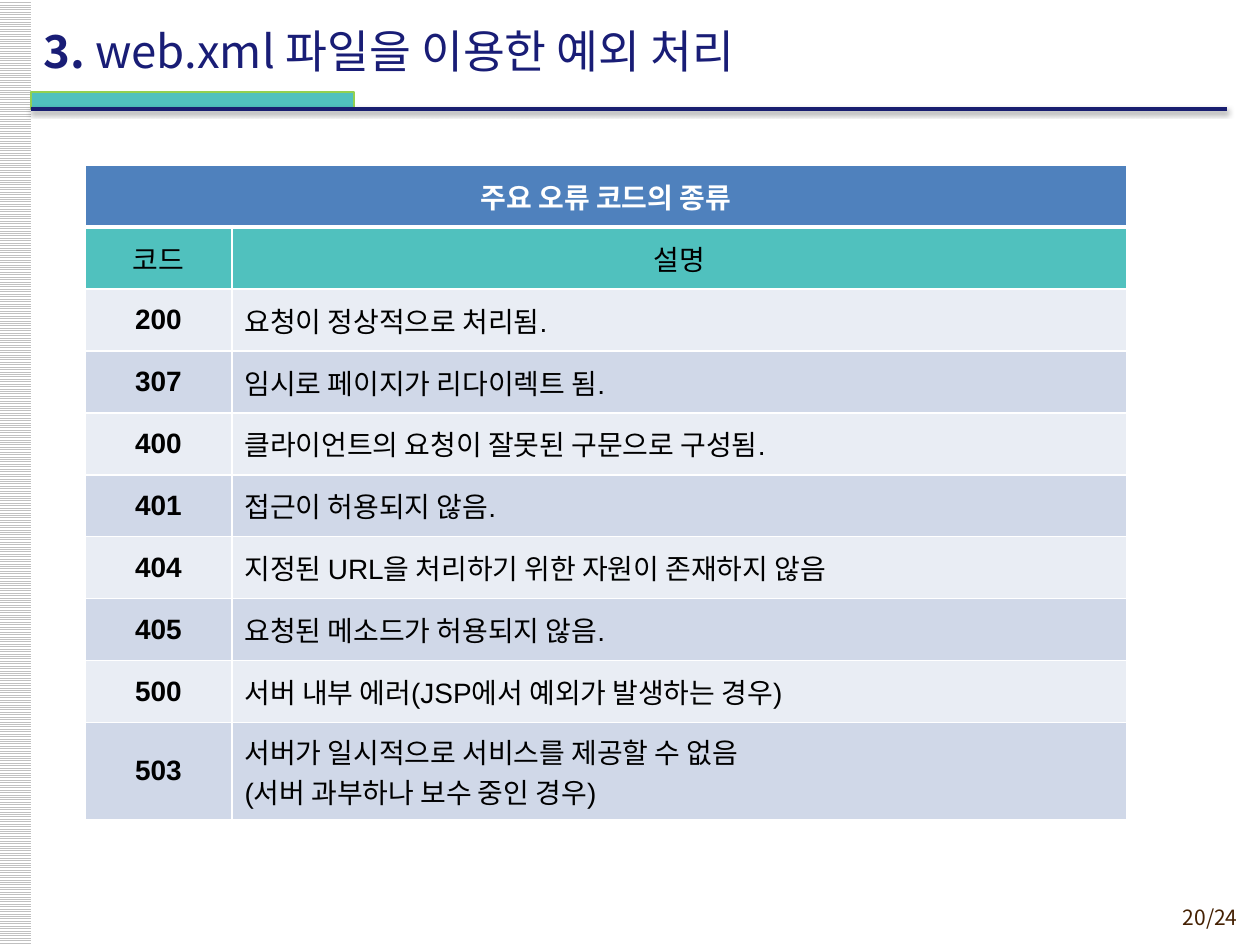
from lxml.etree import SubElement
from pptx import Presentation
from pptx.dml.color import RGBColor
from pptx.enum.dml import MSO_PATTERN
from pptx.enum.shapes import MSO_CONNECTOR, MSO_SHAPE
from pptx.enum.text import MSO_ANCHOR, PP_ALIGN
from pptx.oxml.ns import qn
from pptx.util import Emu, Pt

TITLE = [("3. ", True), ("web.xml 파일을 이용한 예외 처리", False)]
PAGE = "20/24"
CAPTION = "주요 오류 코드의 종류"
HEADINGS = ("코드", "설명")
CODES = [
    ("200", "요청이 정상적으로 처리됨."),
    ("307", "임시로 페이지가 리다이렉트 됨."),
    ("400", "클라이언트의 요청이 잘못된 구문으로 구성됨."),
    ("401", "접근이 허용되지 않음."),
    ("404", "지정된 URL을 처리하기 위한 자원이 존재하지 않음"),
    ("405", "요청된 메소드가 허용되지 않음."),
    ("500", "서버 내부 에러(JSP에서 예외가 발생하는 경우)"),
    ("503", "서버가 일시적으로 서비스를 제공할 수 없음\n(서버 과부하나 보수 중인 경우)"),
]
THEME = {
    "hangul": "Noto Sans CJK KR", "latin": "Arial",
    "title": "191D76", "rule": "191E70", "page": "452103",
    "teal": "50C1BE", "green": "92D050", "stripe": "C0C0C0",
    "white": "FFFFFF", "black": "000000", "caption": "4F81BD",
    "bands": ("E9EDF4", "D0D8E8"),
    "title_pt": 26, "table_pt": 16, "page_pt": 12,
}
COLS = (147, 895)
ROW_H, LAST_ROW_H = 62, 97


def px(n):
    return Emu(round(n * 914400 / 126))


def rgb(value):
    return RGBColor.from_string(value)


def add_run(p, text, size, color, font, bold=False):
    r = p.add_run()
    r.text = text
    formats = {"size": Pt(size), "name": font, "bold": bold}
    for name, value in formats.items():
        setattr(r.font, name, value)
    r.font.color.rgb = rgb(color)
    SubElement(r.font._element, qn("a:ea"), typeface=THEME["hangul"])


def add_box(s, x, y, w, h, anchor, align):
    tf = s.shapes.add_textbox(px(x), px(y), px(w), px(h)).text_frame
    tf.word_wrap = True
    tf.vertical_anchor = anchor
    tf.paragraphs[0].alignment = align
    return tf.paragraphs[0]


def add_rect(s, x, y, w, h):
    sp = s.shapes.add_shape(MSO_SHAPE.RECTANGLE, px(x), px(y), px(w), px(h))
    sp.shadow.inherit = False
    return sp


def add_frame(s):
    strip = add_rect(s, -1, 0, 32, 945)
    strip.fill.patterned()
    strip.fill.pattern = MSO_PATTERN.LIGHT_HORIZONTAL
    strip.fill.fore_color.rgb = rgb(THEME["stripe"])
    strip.fill.back_color.rgb = rgb(THEME["white"])
    strip.line.fill.background()

    tab = add_rect(s, 31, 92, 323, 17)
    tab.fill.solid()
    tab.fill.fore_color.rgb = rgb(THEME["teal"])
    tab.line.color.rgb = rgb(THEME["green"])
    tab.line.width = Pt(0.75)

    rule = s.shapes.add_connector(MSO_CONNECTOR.STRAIGHT, px(31), px(109), px(1227), px(109))
    rule.line.color.rgb = rgb(THEME["rule"])
    rule.line.width = Pt(2)
    effects = SubElement(rule._element.spPr, qn("a:effectLst"))
    shadow = SubElement(effects, qn("a:outerShdw"), blurRad=str(Pt(3.1)),
                        dist=str(Pt(1.6)), dir="5400000", rotWithShape="0")
    tint = SubElement(shadow, qn("a:srgbClr"), val=THEME["black"])
    SubElement(tint, qn("a:alpha"), val="38000")


def fill_cell(cell, text, fill, color="black", bold=False, align=PP_ALIGN.CENTER, bottom=1):
    cell.vertical_anchor = MSO_ANCHOR.MIDDLE
    tf = cell.text_frame
    for i, line in enumerate(text.split("\n")):
        p = tf.add_paragraph() if i else tf.paragraphs[0]
        p.alignment = align
        add_run(p, line, THEME["table_pt"], THEME[color], THEME["latin"], bold)
    tcPr = cell._tc.get_or_add_tcPr()
    for side, width in {"L": 1, "R": 1, "T": 1, "B": bottom}.items():
        ln = SubElement(tcPr, qn(f"a:ln{side}"), w=str(Pt(width)))
        SubElement(SubElement(ln, qn("a:solidFill")), qn("a:srgbClr"), val=THEME["white"])
    cell.fill.solid()
    cell.fill.fore_color.rgb = rgb(fill)


def add_code_table(s):
    n = len(CODES) + 2
    heights = [ROW_H] * (n - 1) + [LAST_ROW_H]
    table = s.shapes.add_table(n, len(COLS), px(85), px(165), px(sum(COLS)), px(sum(heights))).table
    for col, w in zip(table.columns, COLS):
        col.width = px(w)
    for row, h in zip(table.rows, heights):
        row.height = px(h)
    table.cell(0, 0).merge(table.cell(0, 1))
    fill_cell(table.cell(0, 0), CAPTION, THEME["caption"], "white", True, bottom=3)
    for c, heading in enumerate(HEADINGS):
        fill_cell(table.cell(1, c), heading, THEME["teal"])
    for i, (code, meaning) in enumerate(CODES):
        band = THEME["bands"][i % 2]
        fill_cell(table.cell(i + 2, 0), code, band, bold=True)
        fill_cell(table.cell(i + 2, 1), meaning, band, align=PP_ALIGN.LEFT)


def main():
    prs = Presentation()
    prs.slide_width, prs.slide_height = px(1260), px(945)
    s = prs.slides.add_slide(prs.slide_layouts[6])
    add_frame(s)
    p = add_box(s, 1116, 898, 134, 37, MSO_ANCHOR.TOP, PP_ALIGN.RIGHT)
    add_run(p, PAGE, THEME["page_pt"], THEME["page"], THEME["hangul"])
    p = add_box(s, 31, 11, 1042, 79, MSO_ANCHOR.MIDDLE, PP_ALIGN.LEFT)
    for text, bold in TITLE:
        add_run(p, text, THEME["title_pt"], THEME["title"], THEME["hangul"], bold)
    add_code_table(s)
    prs.save("out.pptx")


if __name__ == "__main__":
    main()
